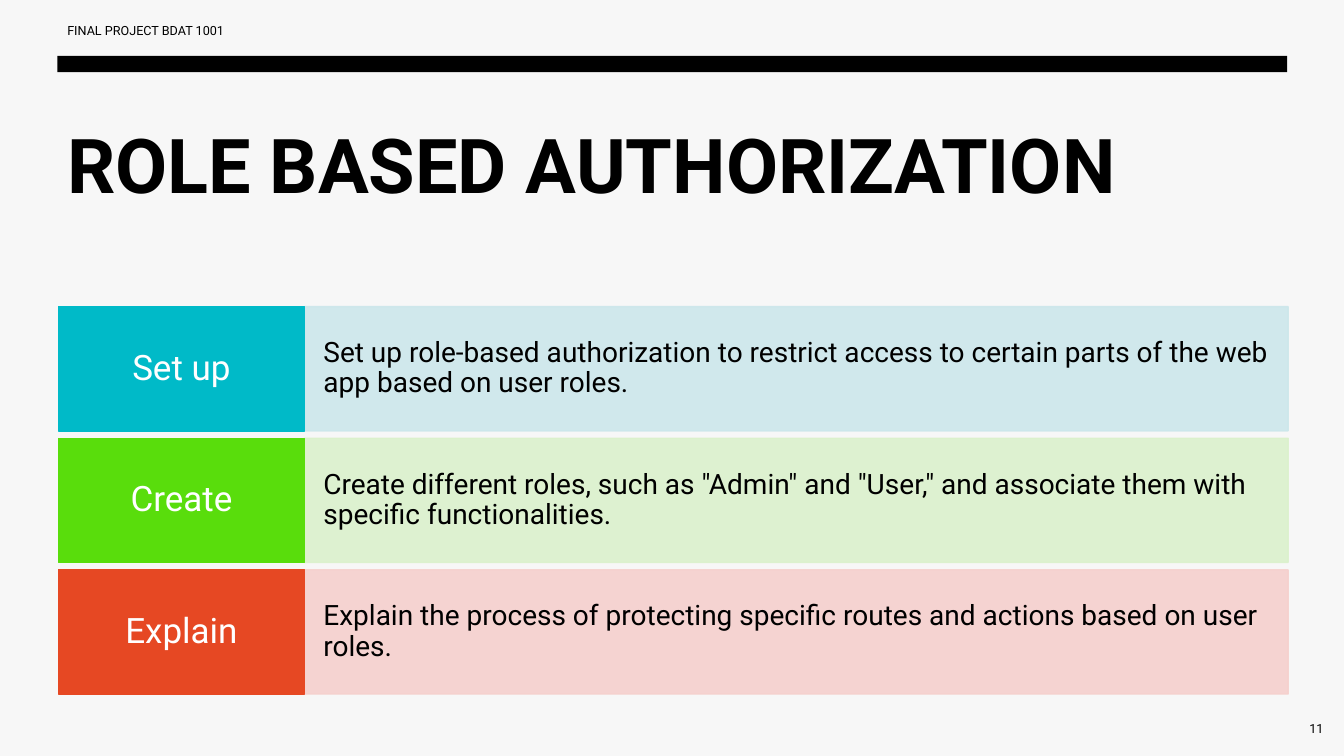
from collections import namedtuple
from dataclasses import dataclass

from lxml.etree import SubElement
from pptx import Presentation
from pptx.dml.color import RGBColor
from pptx.enum.shapes import MSO_SHAPE
from pptx.enum.text import MSO_ANCHOR, PP_ALIGN
from pptx.oxml.ns import qn
from pptx.util import Pt

Box = namedtuple("Box", "left top width height")
Step = namedtuple("Step", "label description strong pale")


@dataclass(frozen=True)
class Theme:
    font: str = "Roboto"
    background: str = "F7F7F7"
    ink: str = "000000"
    label_ink: str = "FFFFFF"
    title_size: int = 54
    label_size: int = 25
    body_size: int = 20
    small_size: int = 9
    pale_opacity: int = 90


THEME = Theme()

STEPS = [
    Step(
        "Set up",
        "Set up role-based authorization to restrict access to certain parts "
        "of the web app based on user roles.",
        "00BAC8",
        "CCE7EB",
    ),
    Step(
        "Create",
        'Create different roles, such as "Admin" and "User," and associate '
        "them with specific functionalities.",
        "59DD0C",
        "DBF1CC",
    ),
    Step(
        "Explain",
        "Explain the process of protecting specific routes and actions "
        "based on user roles.",
        "E64823",
        "F5D0CD",
    ),
]


def set_attributes(target, values):
    for name, value in values.items():
        setattr(target, name, value)


def write_text(shape, text, size, color=THEME.ink, bold=False,
               alignment=PP_ALIGN.LEFT, anchor=MSO_ANCHOR.MIDDLE,
               insets=(7.2, 3.6), line_spacing=1.0):
    horizontal, vertical = map(Pt, insets)
    frame = shape.text_frame
    set_attributes(frame, {
        "word_wrap": True,
        "vertical_anchor": anchor,
        "margin_left": horizontal,
        "margin_right": horizontal,
        "margin_top": vertical,
        "margin_bottom": vertical,
    })
    paragraph = frame.paragraphs[0]
    set_attributes(paragraph, {"alignment": alignment, "line_spacing": line_spacing})
    run = paragraph.add_run()
    run.text = text
    set_attributes(run.font, {"name": THEME.font, "size": Pt(size), "bold": bold})
    run.font.color.rgb = RGBColor.from_string(color)


def add_text(slide, box, text, size, **formats):
    shape = slide.shapes.add_textbox(*map(Pt, box))
    write_text(shape, text, size, **formats)


def add_rectangle(slide, box, color, outlined=True, opacity=100):
    shape = slide.shapes.add_shape(MSO_SHAPE.RECTANGLE, *map(Pt, box))
    shape.shadow.inherit = False
    fills = [shape.fill]
    if outlined:
        shape.line.width = Pt(1)
        fills.append(shape.line.fill)
    else:
        shape.line.fill.background()
    for fill in fills:
        fill.solid()
        fill.fore_color.rgb = RGBColor.from_string(color)
    if opacity < 100:
        for color_element in shape.element.spPr.iter(qn("a:srgbClr")):
            SubElement(color_element, qn("a:alpha"), val=str(opacity * 1000))
    return shape


def add_header(slide, box):
    add_text(slide, Box(box.left, box.top, 324, 29),
             "FINAL PROJECT BDAT 1001", THEME.small_size)
    rule_height = 11.5
    rule = Box(box.left, box.top + box.height - rule_height, box.width, rule_height)
    add_rectangle(slide, rule, THEME.ink, outlined=False)


def add_title(slide, box):
    add_text(slide, box, "ROLE BASED AUTHORIZATION", THEME.title_size,
             bold=True, anchor=MSO_ANCHOR.TOP, insets=(7.2, 7))


def add_step(slide, box, step):
    label_width = box.width / 5
    description_box = Box(box.left + label_width, box.top,
                          box.width - label_width, box.height)
    description = add_rectangle(slide, description_box, step.pale,
                                opacity=THEME.pale_opacity)
    write_text(description, step.description, THEME.body_size,
               insets=(13.6, 22.5), line_spacing=0.9)
    label = add_rectangle(slide, box._replace(width=label_width), step.strong)
    write_text(label, step.label, THEME.label_size, color=THEME.label_ink,
               alignment=PP_ALIGN.CENTER, insets=(9.3, 8.8), line_spacing=0.9)


def add_steps(slide, box, steps, gap=5.25):
    row_height = (box.height - gap * (len(steps) - 1)) / len(steps)
    for index, step in enumerate(steps):
        top = box.top + index * (row_height + gap)
        add_step(slide, box._replace(top=top, height=row_height), step)


def add_page_number(slide, box):
    add_text(slide, box, "11", THEME.small_size, alignment=PP_ALIGN.RIGHT)


def main():
    presentation = Presentation()
    set_attributes(presentation, {"slide_width": Pt(960), "slide_height": Pt(540)})
    slide = presentation.slides.add_slide(presentation.slide_layouts[6])
    background = slide.background.fill
    background.solid()
    background.fore_color.rgb = RGBColor.from_string(THEME.background)

    add_header(slide, Box(41, 7.5, 878.4, 44))
    add_title(slide, Box(41, 77, 878.4, 129))
    add_steps(slide, Box(41.75, 219, 878.4, 276.75), STEPS)
    add_page_number(slide, Box(902, 505.5, 50.4, 29))
    presentation.save("out.pptx")


if __name__ == "__main__":
    main()
